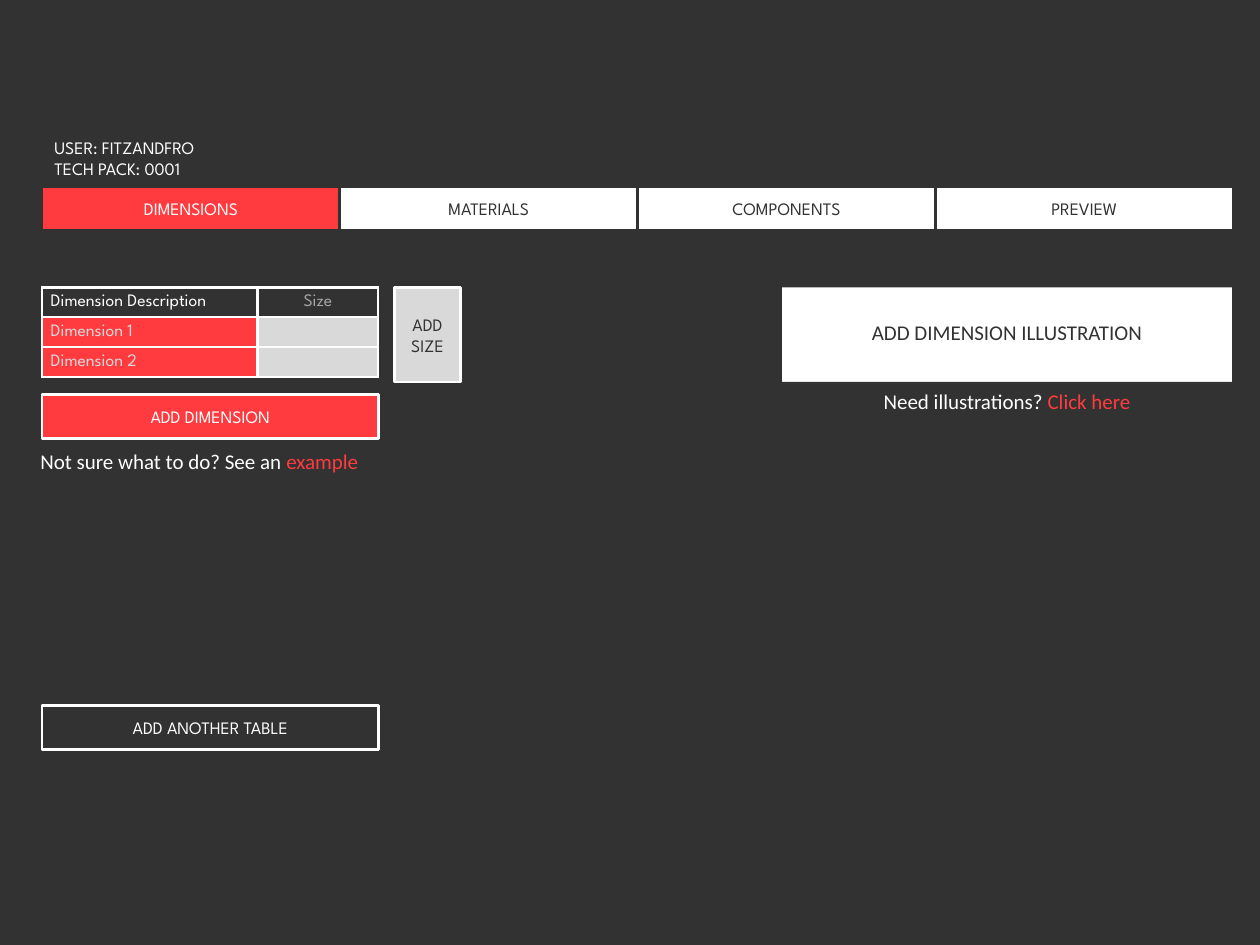
from lxml import etree
from pptx import Presentation
from pptx import util as u
from pptx.dml.color import RGBColor
from pptx.enum import shapes, text
from pptx.oxml.ns import qn

DARK = RGBColor(0x32, 0x32, 0x32)
RED = RGBColor(0xFF, 0x3B, 0x3F)
WHITE = RGBColor(0xFF, 0xFF, 0xFF)
LIGHT = RGBColor(0xD9, 0xD9, 0xD9)
GREY = RGBColor(0xA6, 0xA6, 0xA6)
SPARTAN, CALIBRI = "League Spartan", "Calibri"
LEFT, CENTER = text.PP_ALIGN.LEFT, text.PP_ALIGN.CENTER
TOP, MIDDLE = text.MSO_ANCHOR.TOP, text.MSO_ANCHOR.MIDDLE

# Content: lines of text are lists of (wording, colour) runs
USER_LINES = [[("USER: FITZANDFRO", WHITE)], [("TECH PACK: 0001", WHITE)]]
TABS = ["DIMENSIONS", "MATERIALS", "COMPONENTS", "PREVIEW"]
ACTIVE_TAB = "DIMENSIONS"
TABLE = [  # (wording, text colour, fill)
    [("Dimension Description", WHITE, DARK), ("Size", GREY, DARK)],
    [("Dimension 1", LIGHT, RED), ("", LIGHT, LIGHT)],
    [("Dimension 2", LIGHT, RED), ("", LIGHT, LIGHT)],
]
EXAMPLE_HINT = [[("Not sure what to do? See an ", WHITE), ("example", RED)]]
ILLUSTRATION_HINT = [[("Need illustrations? ", WHITE), ("Click here", RED)]]

# Layout in points
MARGIN = 24
TAB_TOP, TAB_W, BAR_H = 106.6, 170.15, 25.2
BODY_TOP, ROW_H, COLS = 164.2, 17.1, [123.1, 69.1]
TABLE_W = sum(COLS)
PANEL_X, PANEL_W, PANEL_H = 447, 257, 54


def write(tf, lines, font=SPARTAN, size=10, align=CENTER):
    for i, runs in enumerate(lines):
        p = tf.paragraphs[0] if i == 0 else tf.add_paragraph()
        p.alignment = align
        p.font.size = u.Pt(size)
        for wording, color in runs:
            r = p.add_run()
            r.text = wording
            r.font.name, r.font.size = font, u.Pt(size)
            r.font.color.rgb = color


def frame(sp, lines, anchor=MIDDLE, inset_top=3.6, **fmt):
    tf = sp.text_frame
    tf.word_wrap = True
    tf.vertical_anchor = anchor
    tf.margin_top = u.Pt(inset_top)
    write(tf, lines, **fmt)


def add_box(s, x, y, w, h, lines, fill, line=None, **fmt):
    sp = s.shapes.add_shape(shapes.MSO_SHAPE.RECTANGLE, *map(u.Pt, (x, y, w, h)))
    sp.shadow.inherit = False
    sp.fill.solid()
    sp.fill.fore_color.rgb = fill
    if line is None:
        sp.line.fill.background()
    else:
        sp.line.color.rgb = line
        sp.line.width = u.Pt(1.5)
    frame(sp, lines, **fmt)


def add_label(s, x, y, w, h, lines, **fmt):
    frame(s.shapes.add_textbox(*map(u.Pt, (x, y, w, h))), lines, align=LEFT, **fmt)


def set_borders(cell, color, width):
    tc_pr = cell._tc.get_or_add_tcPr()
    for i, side in enumerate(("a:lnL", "a:lnR", "a:lnT", "a:lnB")):
        ln = etree.Element(qn(side), w=str(u.Pt(width)))
        fill = etree.SubElement(ln, qn("a:solidFill"))
        etree.SubElement(fill, qn("a:srgbClr"), val=str(color))
        tc_pr.insert(i, ln)


def add_dimension_table(s):
    table = s.shapes.add_table(
        len(TABLE), len(COLS),
        *map(u.Pt, (MARGIN, BODY_TOP, TABLE_W, ROW_H * len(TABLE)))).table
    for col, width in zip(table.columns, COLS):
        col.width = u.Pt(width)
    for i, row in enumerate(TABLE):
        table.rows[i].height = u.Pt(ROW_H)
        for j, (wording, color, fill) in enumerate(row):
            cell = table.cell(i, j)
            cell.fill.solid()
            cell.fill.fore_color.rgb = fill
            cell.vertical_anchor = MIDDLE
            cell.margin_left = cell.margin_right = u.Pt(5)
            cell.margin_top = cell.margin_bottom = 0
            write(cell.text_frame, [[(wording, color)]] if wording else [[]],
                  align=CENTER if j else LEFT)
            set_borders(cell, WHITE, 1.5)


def main():
    prs = Presentation()
    prs.slide_width, prs.slide_height = u.Pt(720), u.Pt(540)
    s = prs.slides.add_slide(prs.slide_layouts[6])
    s.background.fill.solid()
    s.background.fill.fore_color.rgb = DARK

    # User details and tab bar
    add_label(s, MARGIN, 77.8, TAB_W, BAR_H, USER_LINES)
    for i, tab in enumerate(TABS):
        active = tab == ACTIVE_TAB
        add_box(s, MARGIN + i * TAB_W, TAB_TOP, TAB_W, BAR_H,
                [[(tab, WHITE if active else DARK)]],
                RED if active else WHITE, line=DARK)

    # Dimension table and its buttons
    add_dimension_table(s)
    add_box(s, 225.5, BODY_TOP, 37.5, PANEL_H, [[("ADD SIZE", DARK)]],
            LIGHT, line=WHITE)
    add_box(s, MARGIN, 225.4, TABLE_W, BAR_H, [[("ADD DIMENSION", WHITE)]],
            RED, line=WHITE)
    add_label(s, 16, 252.8, PANEL_W, 35, EXAMPLE_HINT,
              font=CALIBRI, size=12, anchor=TOP)
    add_box(s, MARGIN, 403.2, TABLE_W, BAR_H, [[("ADD ANOTHER TABLE", WHITE)]],
            DARK, line=WHITE)

    # Illustration panel
    add_box(s, PANEL_X, BODY_TOP, PANEL_W, PANEL_H,
            [[("ADD DIMENSION ILLUSTRATION", DARK)]], WHITE,
            font=CALIBRI, size=12, anchor=TOP, inset_top=18.25)
    add_box(s, PANEL_X, BODY_TOP + PANEL_H, PANEL_W, 27.4, ILLUSTRATION_HINT,
            DARK, font=CALIBRI, size=12, anchor=TOP)

    prs.save("out.pptx")


if __name__ == "__main__":
    main()
